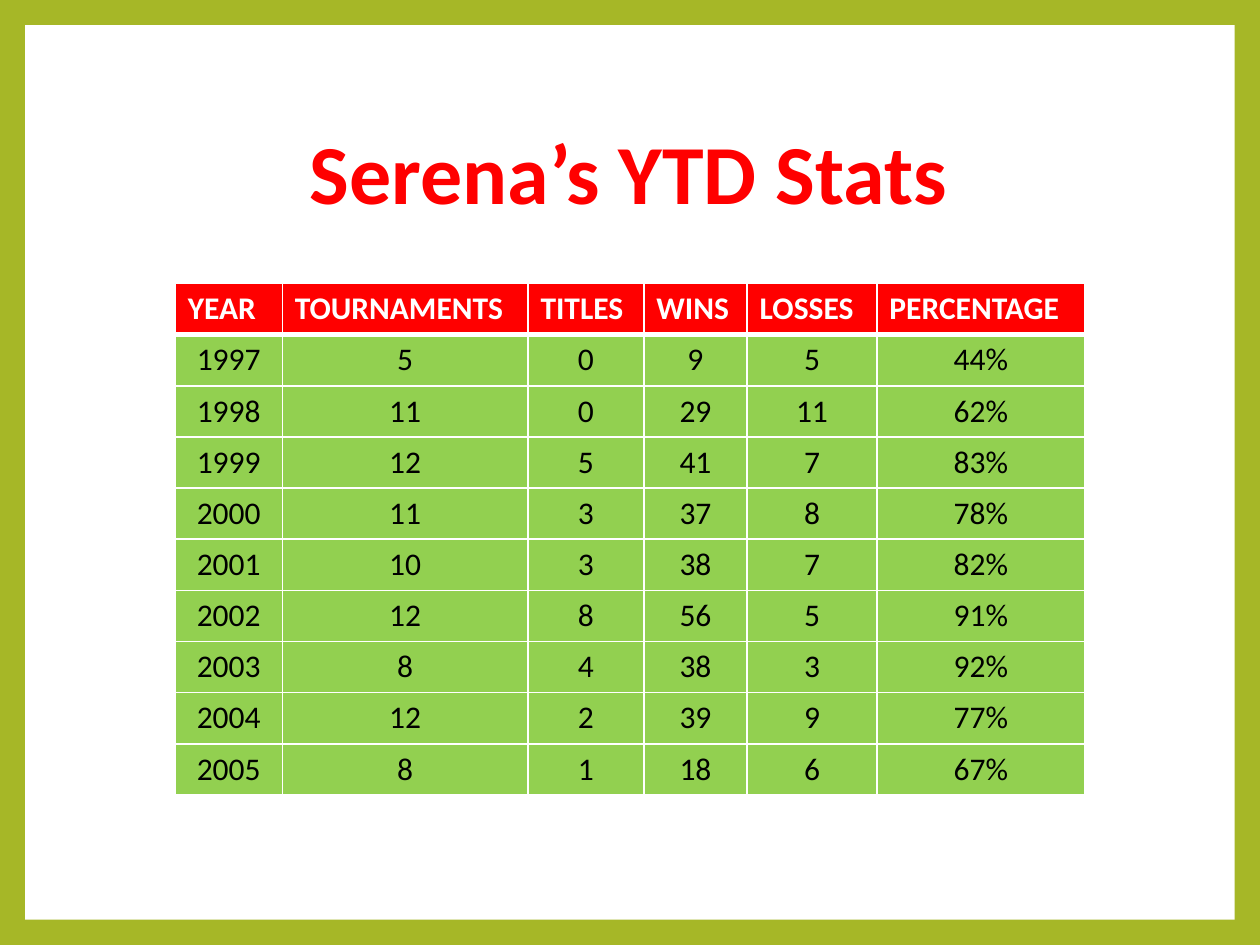
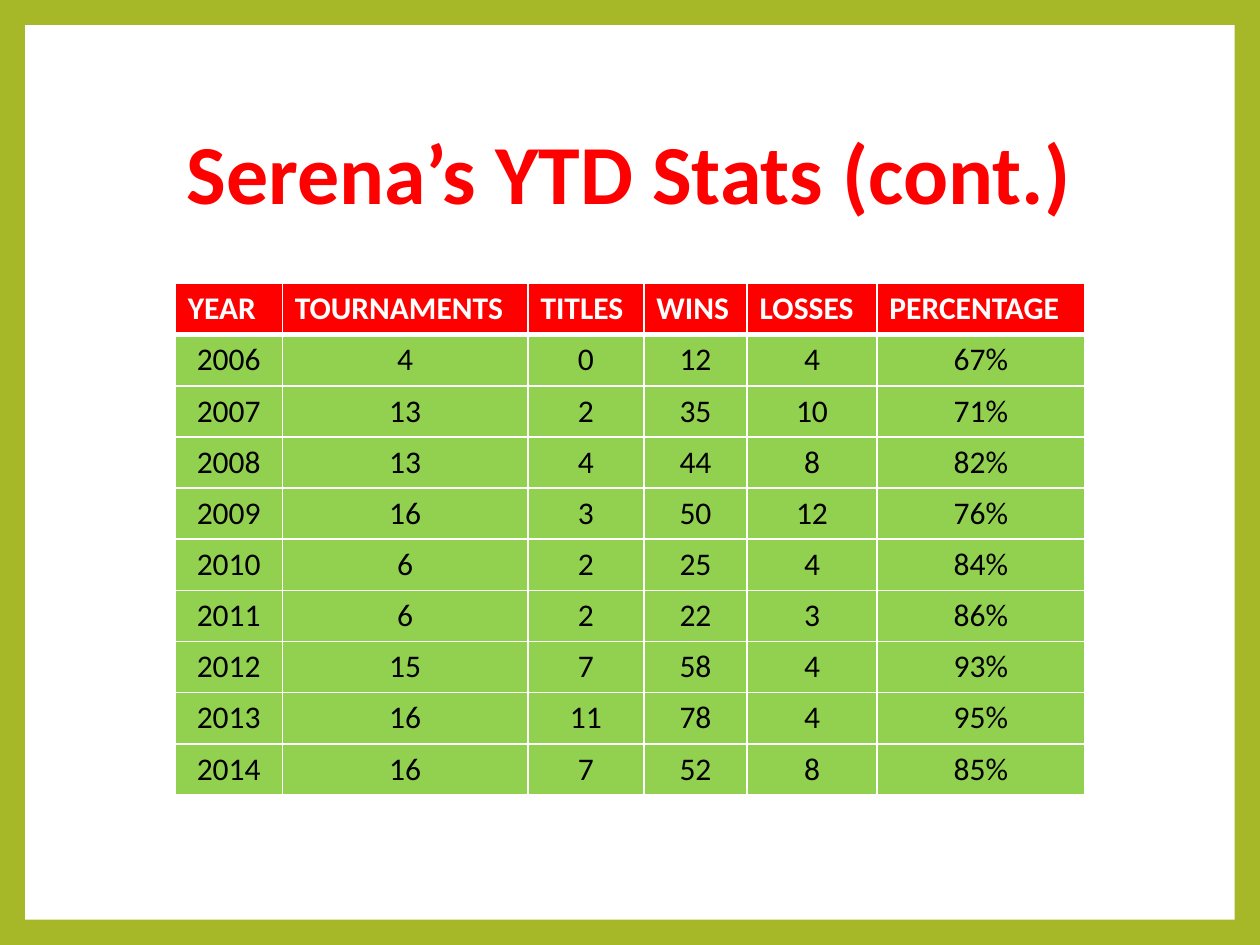
from lxml import etree
from pptx import Presentation
from pptx.dml.color import RGBColor
from pptx.enum.shapes import MSO_SHAPE
from pptx.enum.text import MSO_ANCHOR, PP_ALIGN
from pptx.oxml.ns import qn
from pptx.util import Inches, Pt

RECT = MSO_SHAPE.RECTANGLE
MIDDLE = MSO_ANCHOR.MIDDLE
LEFT, CENTER = PP_ALIGN.LEFT, PP_ALIGN.CENTER

COLORS = {
    "frame": "A6B727",
    "white": "FFFFFF",
    "red": "FF0000",
    "green": "92D050",
    "black": "000000",
}
FONT = "Calibri"

HEADS = ["YEAR", "TOURNAMENTS", "TITLES", "WINS", "LOSSES", "PERCENTAGE"]
WIDTHS = [0.85, 1.95, 0.92, 0.82, 1.03, 1.65]
HEIGHT = 4.06

# Title and season rows of each slide
PAGES = [
    ("Serena’s YTD Stats", [
        (1997, 5, 0, 9, 5, "44%"),
        (1998, 11, 0, 29, 11, "62%"),
        (1999, 12, 5, 41, 7, "83%"),
        (2000, 11, 3, 37, 8, "78%"),
        (2001, 10, 3, 38, 7, "82%"),
        (2002, 12, 8, 56, 5, "91%"),
        (2003, 8, 4, 38, 3, "92%"),
        (2004, 12, 2, 39, 9, "77%"),
        (2005, 8, 1, 18, 6, "67%"),
    ]),
    ("Serena’s YTD Stats (cont.)", [
        (2006, 4, 0, 12, 4, "67%"),
        (2007, 13, 2, 35, 10, "71%"),
        (2008, 13, 4, 44, 8, "82%"),
        (2009, 16, 3, 50, 12, "76%"),
        (2010, 6, 2, 25, 4, "84%"),
        (2011, 6, 2, 22, 3, "86%"),
        (2012, 15, 7, 58, 4, "93%"),
        (2013, 16, 11, 78, 4, "95%"),
        (2014, 16, 7, 52, 8, "85%"),
    ]),
]


def color(name):
    return RGBColor.from_string(COLORS[name])


class Deck:
    def __init__(self):
        self.show = Presentation()
        self.show.slide_width = Inches(10)
        self.show.slide_height = Inches(7.5)
        self.slide = None

    def page(self):
        """Start a slide: green frame around a white panel."""
        self.slide = self.show.slides.add_slide(self.show.slide_layouts[6])
        back = self.slide.background.fill
        back.solid()
        back.fore_color.rgb = color("frame")
        panel = self.slide.shapes.add_shape(
            RECT, Inches(0.2), Inches(0.2), Inches(9.6), Inches(7.1))
        panel.shadow.inherit = False
        panel.fill.solid()
        panel.fill.fore_color.rgb = color("white")
        panel.line.fill.background()

    def style(self, para, size, tint, bold, align):
        para.alignment = align
        for run in para.runs:
            run.font.name = FONT
            run.font.size = Pt(size)
            run.font.bold = bold
            run.font.color.rgb = color(tint)

    def title(self, text):
        box = self.slide.shapes.add_textbox(
            Inches(0.94), Inches(0.67), Inches(8.1), Inches(1.48))
        frame = box.text_frame
        frame.word_wrap = True
        frame.vertical_anchor = MIDDLE
        frame.text = text
        para = frame.paragraphs[0]
        para.line_spacing = 0.9
        self.style(para, 48, "red", True, CENTER)

    def border(self, cell, top, bottom):
        """White cell edges, with widths in points."""
        props = cell._tc.get_or_add_tcPr()
        for side, width in (("L", 1), ("R", 1), ("T", top), ("B", bottom)):
            line = etree.SubElement(props, qn(f"a:ln{side}"), w=str(Pt(width)))
            fill = etree.SubElement(line, qn("a:solidFill"))
            etree.SubElement(fill, qn("a:srgbClr"), val=COLORS["white"])

    def table(self, rows):
        shape = self.slide.shapes.add_table(
            len(rows), len(WIDTHS), Inches(1.39), Inches(2.25),
            Inches(sum(WIDTHS)), Inches(HEIGHT))
        grid = shape.table
        for col, width in zip(grid.columns, WIDTHS):
            col.width = Inches(width)
        for i, row in enumerate(rows):
            grid.rows[i].height = Inches(HEIGHT / len(rows))
            head = i == 0
            for j, value in enumerate(row):
                cell = grid.cell(i, j)
                # Edges must come before the fill
                self.border(cell, 3 if i == 1 else 1, 3 if head else 1)
                cell.fill.solid()
                cell.fill.fore_color.rgb = color("red" if head else "green")
                cell.text_frame.text = str(value)
                self.style(cell.text_frame.paragraphs[0], 18,
                           "white" if head else "black", head,
                           LEFT if head else CENTER)


def main():
    deck = Deck()
    for title, rows in PAGES:
        deck.page()
        deck.title(title)
        deck.table([HEADS] + rows)
    deck.show.save("out.pptx")


if __name__ == "__main__":
    main()
